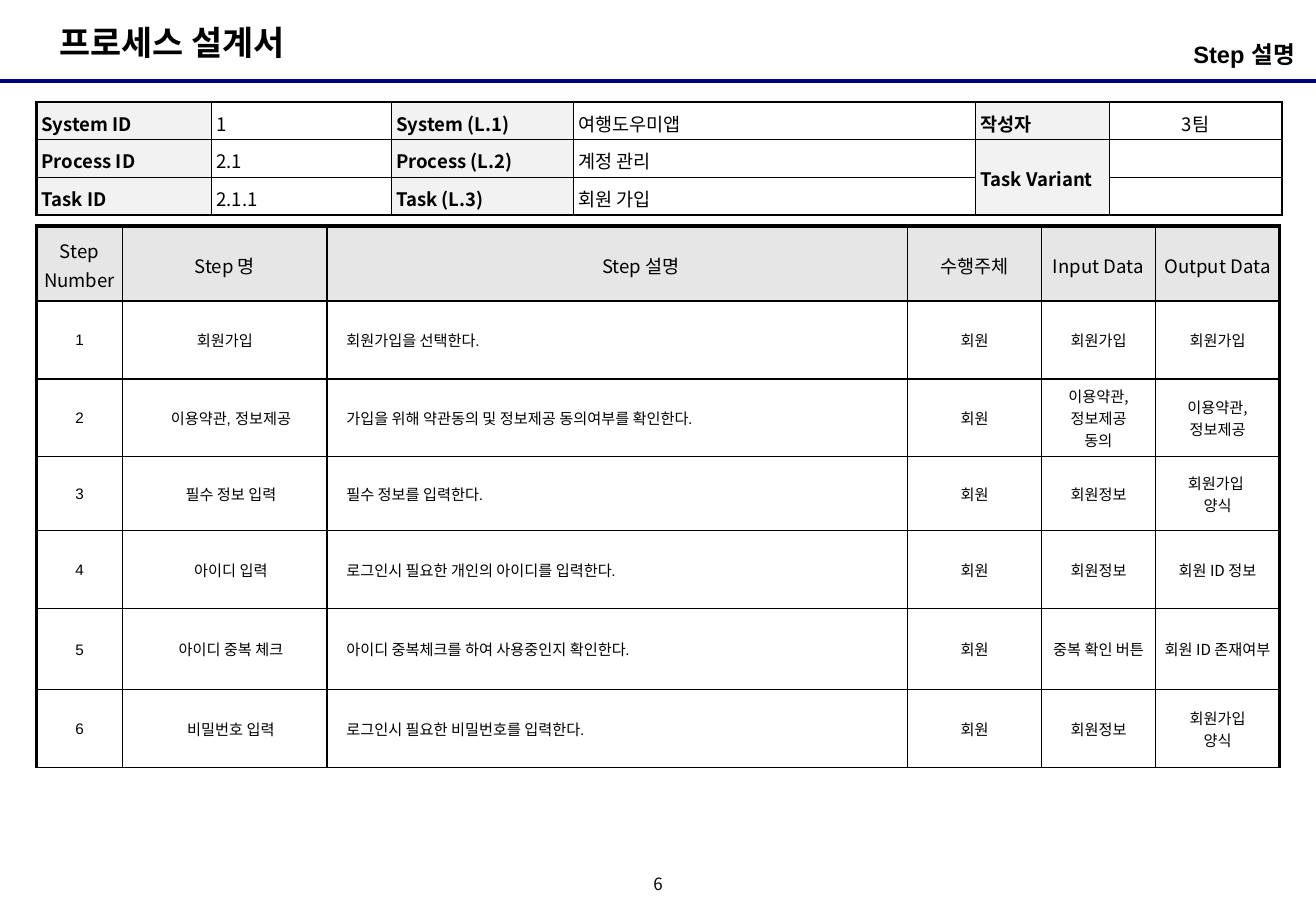
from lxml.etree import SubElement
from pptx import Presentation
from pptx.dml.color import RGBColor
from pptx.enum.shapes import MSO_CONNECTOR as Connector
from pptx.enum.text import MSO_ANCHOR as Anchor, PP_ALIGN as Align
from pptx.oxml import parse_xml
from pptx.oxml.ns import nsdecls, qn
from pptx.util import Inches, Pt

ARIAL = "Arial"
NOTO = "Noto Sans CJK KR"
BLACK, NAVY, WHITE = "000000", "000080", "FFFFFF"
HEADER_GREY, LABEL_GREY = "E6E6E6", "F2F2F2"


def color(hex_code):
    """Turn a hex string into a colour."""
    return RGBColor.from_string(hex_code)


def apply(target, values):
    """Set every attribute named in a dict."""
    for name, value in values.items():
        setattr(target, name, value)


def margins(left, top):
    """Give equal margins left and right, and top and bottom."""
    return {"margin_left": Inches(left), "margin_right": Inches(left),
            "margin_top": Inches(top), "margin_bottom": Inches(top)}


class DesignSheet:
    """Hold the style and the current slide of a process design sheet."""

    def __init__(self, slide):
        """Keep the slide that receives the elements."""
        self.slide = slide

    def fill_text(self, frame, text, size, face=NOTO, bold=False, align=Align.LEFT,
                  spacing=1.0, indent=0):
        """Set one paragraph for each line of the text."""
        for number, line in enumerate(text.split("\n")):
            paragraph = frame.add_paragraph() if number else frame.paragraphs[0]
            apply(paragraph, {"alignment": align, "line_spacing": spacing})
            if indent:
                properties = paragraph._p.get_or_add_pPr()
                properties.set("marL", str(Inches(indent)))
                properties.set("indent", "0")
            if not line:
                SubElement(paragraph._p, qn("a:endParaRPr"), sz=str(size * 100))
                continue
            run = paragraph.add_run()
            run.text = line
            apply(run.font, {"size": Pt(size), "name": face, "bold": bold})
            run.font.color.rgb = color(BLACK)
            SubElement(run._r.get_or_add_rPr(), qn("a:ea"), typeface=NOTO)

    def text(self, box, content, inset, wrap=True, anchor=Anchor.TOP, **style):
        """Add a text box."""
        frame = self.slide.shapes.add_textbox(*map(Inches, box)).text_frame
        apply(frame, {"word_wrap": wrap, "vertical_anchor": anchor, **margins(*inset)})
        self.fill_text(frame, content, **style)

    def rule(self, y, width, hex_code, weight):
        """Add a horizontal line from the left edge."""
        line = self.slide.shapes.add_connector(
            Connector.STRAIGHT, 0, Inches(y), Inches(width), Inches(y))
        line.line.color.rgb = color(hex_code)
        line.line.width = Pt(weight)
        SubElement(line._element.spPr, qn("a:effectLst"))

    def borders(self, cell, widths):
        """Draw the left, right, top and bottom borders of a cell."""
        properties = cell._tc.get_or_add_tcPr()
        for position, (side, width) in enumerate(zip("LRTB", widths)):
            properties.insert(position, parse_xml(
                f'<a:ln{side} {nsdecls("a")} w="{Pt(width)}"><a:solidFill>'
                f'<a:srgbClr val="{BLACK}"/></a:solidFill></a:ln{side}>'))

    def table(self, origin, widths, heights, rows, inset, edges, look):
        """Add a table whose look gives fill, anchor and text style of a cell."""
        left, top = origin
        grid = self.slide.shapes.add_table(
            len(rows), len(widths), Inches(left), Inches(top),
            Inches(sum(widths)), Inches(sum(heights))).table
        apply(grid, {"first_row": False, "horz_banding": False})
        for column, width in zip(grid.columns, widths):
            column.width = Inches(width)
        for row, height in zip(grid.rows, heights):
            row.height = Inches(height)
        last_row, last_column = len(rows) - 1, len(widths) - 1
        for r, row in enumerate(rows):
            for c, content in enumerate(row):
                cell = grid.cell(r, c)
                fill, anchor, style = look(r, c)
                apply(cell, {"vertical_anchor": anchor, **margins(*inset)})
                cell.fill.solid()
                cell.fill.fore_color.rgb = color(fill)
                outer = (c == 0, c == last_column, r == 0, r == last_row)
                self.borders(cell, [edge if out else 1 for edge, out in zip(edges, outer)])
                self.fill_text(cell.text_frame, content, **style)
        return grid


def step_look(row, column):
    """Give the look of a cell in the step table."""
    if row == 0:
        return HEADER_GREY, Anchor.MIDDLE, {
            "size": 11, "align": Align.CENTER, "spacing": 1.1,
            "indent": 0.39 if column == 2 else 0}
    return WHITE, Anchor.MIDDLE, {
        "size": 9, "face": ARIAL if column < 3 else NOTO,
        "align": Align.LEFT if column == 2 else Align.CENTER,
        "spacing": 1.1 if column == 0 and row > 1 else 1.0,
        "indent": 0.1 if column == 2 or (column == 1 and row > 1) else 0}


def identity_look(row, column):
    """Give the look of a cell in the identity table."""
    label = column % 2 == 0
    return (LABEL_GREY if label else WHITE,
            Anchor.MIDDLE if column > 3 else Anchor.TOP,
            {"size": 11, "bold": label, "spacing": 1.1,
             "align": Align.CENTER if column == 5 else Align.LEFT})


STEPS = [
    ["Step Number", "Step 명", "Step 설명", "수행주체", "Input Data", "Output Data"],
    ["1", "회원가입", "회원가입을 선택한다.", "회원", "회원가입", "회원가입"],
    ["2", "이용약관, 정보제공", "가입을 위해 약관동의 및 정보제공 동의여부를 확인한다.", "회원",
     "이용약관,\n정보제공\n동의", "이용약관,\n정보제공"],
    ["3", "필수 정보 입력", "필수 정보를 입력한다.", "회원", "회원정보", "회원가입 \n양식"],
    ["4", "아이디 입력", "로그인시 필요한 개인의 아이디를 입력한다.", "회원", "회원정보", "회원 ID 정보"],
    ["5", "아이디 중복 체크", "아이디 중복체크를 하여 사용중인지 확인한다.", "회원",
     "중복 확인 버튼", "회원 ID 존재여부"],
    ["6", "비밀번호 입력", "로그인시 필요한 비밀번호를 입력한다.", "회원", "회원정보", "회원가입\n양식"],
]
IDENTITY = [
    ["System ID", "1", "System (L.1)", "여행도우미앱", "작성자", "3팀"],
    ["Process ID", "2.1", "Process (L.2)", "계정 관리", "Task Variant", ""],
    ["Task ID", "2.1.1", "Task (L.3)", "회원 가입", "", ""],
]


def main():
    """Build the slide and save it."""
    deck = Presentation()
    apply(deck, {"slide_width": Inches(10.83), "slide_height": Inches(7.5)})
    sheet = DesignSheet(deck.slides.add_slide(deck.slide_layouts[6]))
    sheet.rule(0.67, 10.83, NAVY, 2.25)
    sheet.text((0.39, 0.13, 2.26, 0.44), "프로세스 설계서", (0.1, 0.05), wrap=False,
               size=20, face=ARIAL, bold=True)
    sheet.text((5.25, 7.17, 0.33, 0.25), "6", (0, 0), anchor=Anchor.MIDDLE,
               size=10, align=Align.CENTER, spacing=0.8)
    sheet.table((0.3, 1.86), [0.71, 1.68, 4.78, 1.1, 0.94, 1.02],
                [0.62, 0.64, 0.64, 0.61, 0.64, 0.67, 0.64], STEPS,
                (0.06, 0.04), (2.25, 2.25, 2.25, 1), step_look)
    sheet.text((7.39, 0.28, 3.31, 0.39), "Step 설명 ", (0, 0.05),
               size=14, face=ARIAL, bold=True, align=Align.RIGHT)
    identity = sheet.table((0.3, 0.84), [1.44, 1.48, 1.5, 3.31, 1.1, 1.42], [0.31] * 3,
                           IDENTITY, (0.04, 0.04), (1.5,) * 4, identity_look)
    identity.cell(1, 4).merge(identity.cell(2, 4))
    deck.save("out.pptx")


if __name__ == "__main__":
    main()
